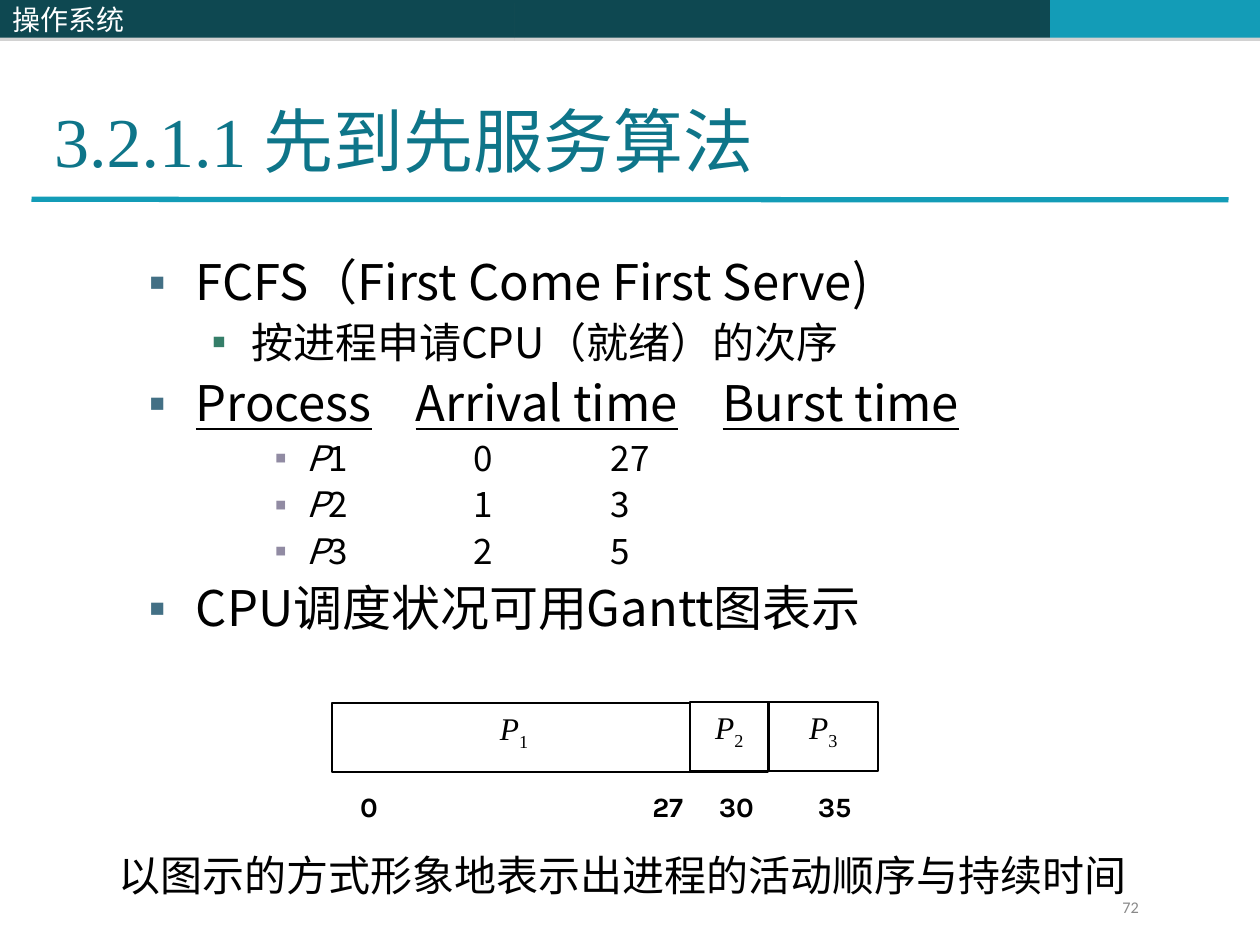
from dataclasses import dataclass

from lxml import etree
from pptx import Presentation
from pptx import util as u
from pptx.dml.color import RGBColor
from pptx.enum import shapes, text
from pptx.oxml import ns

Pt = u.Pt


@dataclass(frozen=True)
class Theme:
    dark: str = "0E4851"
    accent: str = "139CB7"
    heading: str = "0E7589"
    ink: str = "000000"
    paper: str = "FFFFFF"
    muted: str = "898989"
    shadow: str = "808080"
    bullets: tuple = ("437085", "357E69", "918BA3")
    sans: str = "Noto Sans CJK SC"
    serif: str = "Times New Roman"
    label: str = "Karla"
    small: str = "Calibri"
    title_size: float = 40
    body_sizes: tuple = (28, 24, 20)
    space_before: tuple = (7, 6, 5)
    indents: tuple = ((27, -27), (58.5, -22.5), (90, -18))
    bar_size: float = 16
    tick_size: float = 16
    process_size: float = 18
    note_size: float = 24
    number_size: float = 9.3


def add_xml(parent, tag, **attributes):
    element = etree.SubElement(parent, ns.qn(tag))
    for name, value in attributes.items():
        element.set(name, str(value))
    return element


def add_text(paragraph, content, *, font, size, color, bold=False,
             italic=False, underline=False, baseline=None):
    """Add one formatted run; a tab in the content moves to the next stop."""
    run = paragraph.add_run()
    run.text = content
    run.font.name, run.font.size = font, Pt(size)
    run.font.bold, run.font.italic, run.font.underline = bold, italic, underline
    run.font.color.rgb = RGBColor.from_string(color)
    properties = run.font._element
    add_xml(properties, "a:ea", typeface=Theme.sans)
    if baseline:
        properties.set("baseline", str(baseline * 1000))


def add_tabs(paragraph, stops):
    tab_list = add_xml(paragraph._p.get_or_add_pPr(), "a:tabLst")
    for stop in stops:
        add_xml(tab_list, "a:tab", pos=int(Pt(stop)), algn="l")


class SlideBuilder:
    def __init__(self, presentation, theme):
        self.theme = theme
        self.slide = presentation.slides.add_slide(presentation.slide_layouts[1])

    def place(self, shape, left, top, width, height):
        shape.left, shape.top = Pt(left), Pt(top)
        shape.width, shape.height = Pt(width), Pt(height)
        shape.text_frame.word_wrap = True
        shape.text_frame.auto_size = text.MSO_AUTO_SIZE.NONE
        return shape.text_frame

    def rectangle(self, left, top, width, height, fill, line=None):
        shape = self.slide.shapes.add_shape(
            shapes.MSO_SHAPE.RECTANGLE, Pt(left), Pt(top), Pt(width), Pt(height))
        shape.shadow.inherit = False
        shape.fill.solid()
        shape.fill.fore_color.rgb = RGBColor.from_string(fill)
        if line:
            shape.line.color.rgb = RGBColor.from_string(line)
            shape.line.width = Pt(1.25)
        else:
            shape.line.fill.background()
        return shape

    def bar(self, left, width, fill):
        shape = self.rectangle(left, 0, width, 21.6, fill)
        effects = shape._element.spPr.find(ns.qn("a:effectLst"))
        shadow = add_xml(effects, "a:outerShdw", dist=int(Pt(1.8)),
                         dir=90 * 60000, rotWithShape=0)
        color = add_xml(shadow, "a:srgbClr", val=self.theme.shadow)
        add_xml(color, "a:alpha", val=35000)
        return shape

    def rule(self, start, end):
        line = self.slide.shapes.add_connector(
            shapes.MSO_CONNECTOR.STRAIGHT, *map(Pt, start + end))
        line.line.color.rgb = RGBColor.from_string(self.theme.accent)
        line.line.width = Pt(3)
        add_xml(line._element.spPr, "a:effectLst")

    def title(self, content):
        frame = self.place(self.slide.shapes.title, 23.76, 17.28, 613.44, 90)
        frame.vertical_anchor = text.MSO_ANCHOR.BOTTOM
        paragraph = frame.paragraphs[0]
        paragraph.alignment = text.PP_ALIGN.LEFT
        add_text(paragraph, content, font=self.theme.serif,
                 size=self.theme.title_size, color=self.theme.heading)

    def body(self, items):
        """Each item is a level, its tab stops and its (text, format) runs."""
        theme = self.theme
        frame = self.place(self.slide.placeholders[1], 77.76, 144, 612, 343.44)
        frame.vertical_anchor = text.MSO_ANCHOR.TOP
        for index, (level, stops, runs) in enumerate(items):
            paragraph = frame.add_paragraph() if index else frame.paragraphs[0]
            paragraph.level = level
            properties = paragraph._p.get_or_add_pPr()
            margin, indent = theme.indents[level]
            properties.set("marL", str(int(Pt(margin))))
            properties.set("indent", str(int(Pt(indent))))
            color = add_xml(properties, "a:buClr")
            add_xml(color, "a:srgbClr", val=theme.bullets[level])
            add_xml(properties, "a:buFont", typeface=theme.serif)
            add_xml(properties, "a:buChar", char="▪")
            add_tabs(paragraph, stops)
            paragraph.line_spacing = 0.9
            paragraph.space_before = Pt(theme.space_before[level] if index else 0)
            for content, style in runs:
                add_text(paragraph, content, font=theme.sans, color=theme.ink,
                         size=theme.body_sizes[level], **style)

    def label(self, content, left, top, width, height, *, stops=(),
              align=text.PP_ALIGN.LEFT, right_inset=7.2, **style):
        box = self.slide.shapes.add_textbox(0, 0, 0, 0)
        frame = self.place(box, left, top, width, height)
        frame.margin_right = Pt(right_inset)
        paragraph = frame.paragraphs[0]
        paragraph.alignment = align
        add_tabs(paragraph, stops)
        add_text(paragraph, content, **style)

    def process_box(self, number, left, top, width):
        theme = self.theme
        shape = self.rectangle(left, top, width, 39.6, theme.paper, theme.ink)
        frame = shape.text_frame
        frame.vertical_anchor = text.MSO_ANCHOR.TOP
        paragraph = frame.paragraphs[0]
        paragraph.alignment = text.PP_ALIGN.CENTER
        style = dict(font=theme.serif, size=theme.process_size, color=theme.ink)
        add_text(paragraph, "P", italic=True, **style)
        add_text(paragraph, str(number), baseline=-25, **style)


def main():
    presentation = Presentation()
    presentation.slide_width, presentation.slide_height = Pt(720), Pt(540)
    theme = Theme()
    builder = SlideBuilder(presentation, theme)

    # Header bars and title rule
    builder.bar(293.76, 306.24, theme.dark)
    builder.bar(600, 120, theme.accent)
    course = builder.bar(0, 293.76, theme.dark)
    course.text_frame.vertical_anchor = text.MSO_ANCHOR.MIDDLE
    heading = course.text_frame.paragraphs[0]
    heading.alignment = text.PP_ALIGN.LEFT
    add_text(heading, "操作系统", font=theme.sans, size=theme.bar_size,
             color=theme.paper)
    builder.rule((18, 113.9), (702, 114.2))

    # Title and list with the process table
    builder.title("3.2.1.1 先到先服务算法")
    underlined = dict(underline=True)
    header = [("Process", underlined), ("\t", {}), ("Arrival time", underlined),
              ("\t", {}), ("Burst time", underlined)]
    processes = [(1, 0, 27), (2, 1, 3), (3, 2, 5)]
    rows = [(2, (185.5, 264), [("P", dict(italic=True)),
                               (f"{number}\t{arrival}\t{burst}", {})])
            for number, arrival, burst in processes]
    builder.body([
        (0, (), [("FCFS（First Come First Serve)", {})]),
        (1, (), [("按进程申请CPU（就绪）的次序", {})]),
        (0, (152.5, 328), header),
        *rows,
        (0, (), [("CPU调度状况可用Gantt图表示", {})]),
    ])

    # Gantt chart
    builder.label("0\t27\t30\t35", 198.72, 447.84, 298, 26.64,
                  stops=(167, 205, 261.5), font=theme.label,
                  size=theme.tick_size, color=theme.ink, bold=True)
    spans = [(189.75, 401.76, 208.08), (394.4, 401.25, 44.64),
             (439.2, 401.04, 62.64)]
    for number, span in enumerate(spans, 1):
        builder.process_box(number, *span)

    # Closing note and page number
    builder.label("以图示的方式形象地表示出进程的活动顺序与持续时间",
                  60.48, 482, 628.56, 42, font=theme.label,
                  size=theme.note_size, color=theme.ink)
    builder.label("72", 540, 509, 167.76, 19.44, align=text.PP_ALIGN.RIGHT,
                  right_inset=57, font=theme.small, size=theme.number_size,
                  color=theme.muted)

    presentation.save("out.pptx")


if __name__ == "__main__":
    main()
